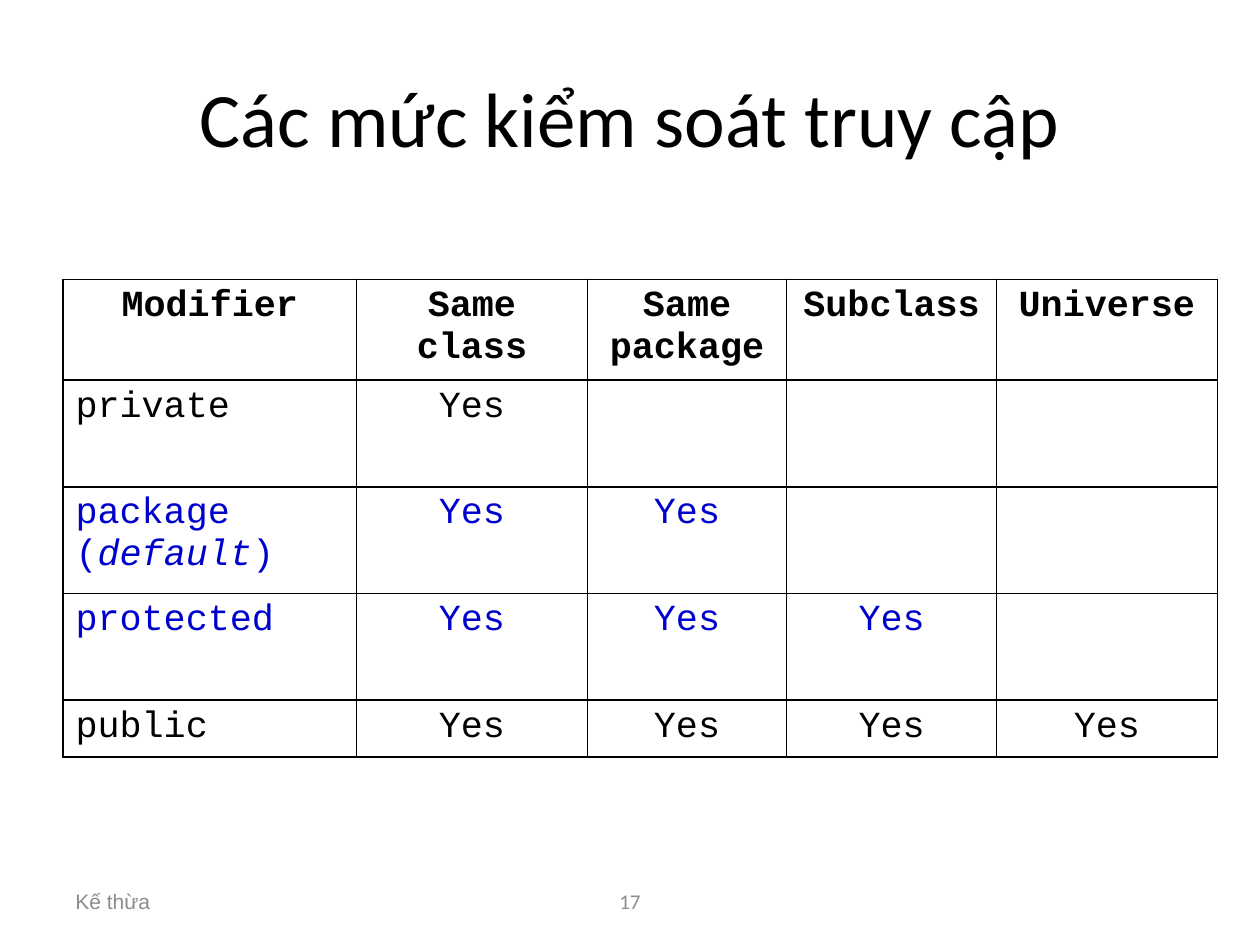
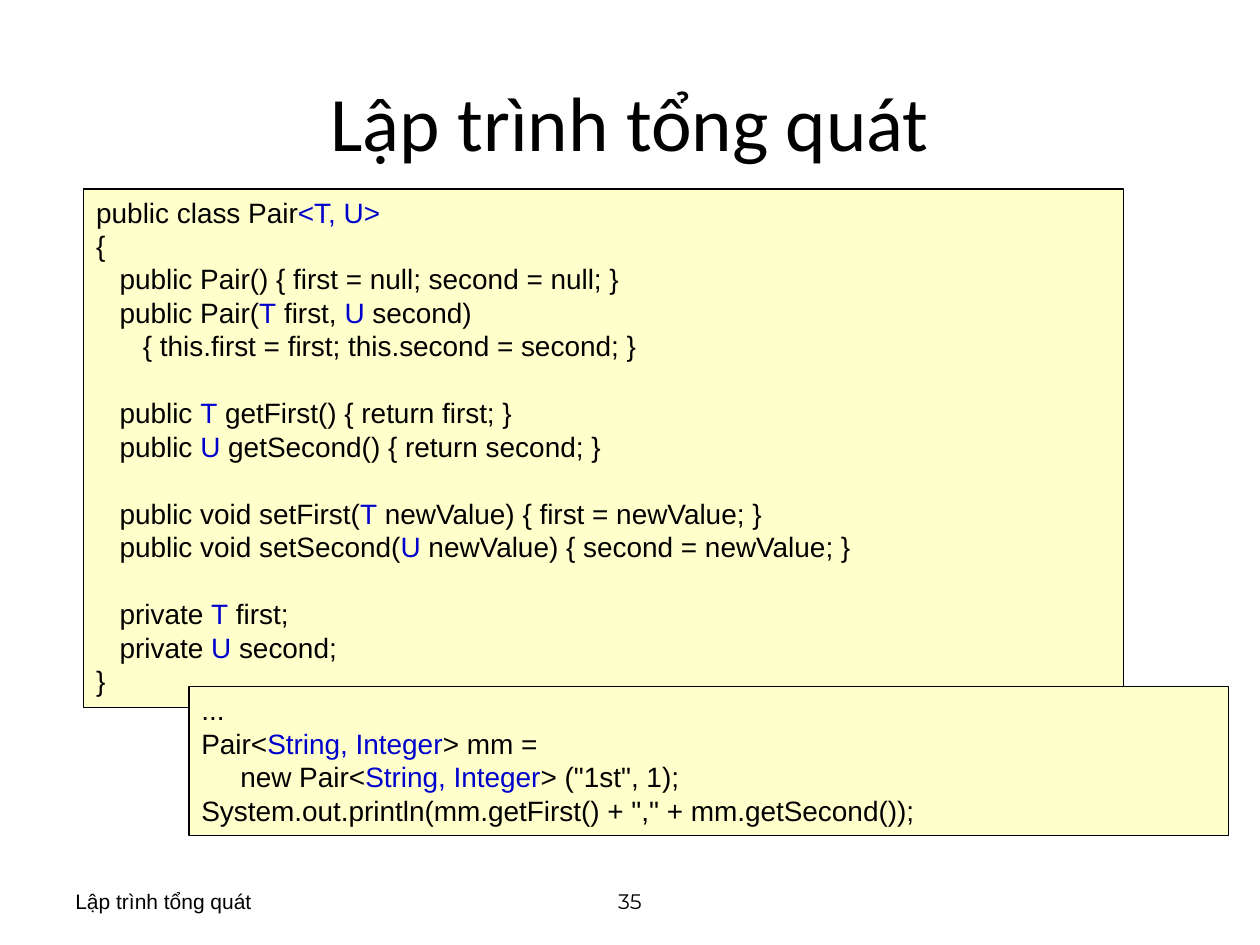
from dataclasses import dataclass

from lxml.etree import SubElement
from pptx import Presentation
from pptx.dml.color import RGBColor
from pptx.enum.shapes import MSO_SHAPE
from pptx.enum.text import MSO_ANCHOR, PP_ALIGN
from pptx.oxml import parse_xml
from pptx.oxml.ns import nsdecls, qn
from pptx.slide import Slide
from pptx.table import _Cell
from pptx.text.text import TextFrame, _Paragraph
from pptx.util import Cm, Pt

BLACK = RGBColor(0x00, 0x00, 0x00)
GREY = RGBColor(0x8C, 0x8C, 0x8C)
BLUE = RGBColor(0x00, 0x00, 0xCC)
CREAM = RGBColor(0xFF, 0xFF, 0xCC)

BODY, HEADING, MONO = "Arial", "Calibri", "Courier New"
MARGIN = 1.27
FOOTER_TOP, FOOTER_HEIGHT = 17.65, 1.02
CODE_SIZE, CODE_LEADING = 16, 19.15
SPACE = 0.157  # width of one space of the code text, in cm


@dataclass(frozen=True)
class Box:
    """A place on the slide, in centimetres."""
    left: float
    top: float
    width: float
    height: float

    def lengths(self) -> tuple[Cm, Cm, Cm, Cm]:
        """Give left, top, width and height as lengths."""
        return Cm(self.left), Cm(self.top), Cm(self.width), Cm(self.height)


@dataclass(frozen=True)
class CodeLine:
    """A line of code; bars in the text enclose its blue parts."""
    text: str
    indent: int = 0
    gap: bool = False


@dataclass(frozen=True)
class Level:
    """An access level: its name, how many scopes see it, its colour."""
    name: str
    scopes: int
    height: float
    color: RGBColor = BLACK


SCOPES = ["Same class", "Same package", "Subclass", "Universe"]
COLUMN_WIDTHS = [5.92, 4.65, 4.02, 4.23, 4.45]
HEADER_HEIGHT, LEVEL_HEIGHT, LAST_HEIGHT = 1.95, 2.15, 1.09
LEVELS = [
    Level("private", 1, LEVEL_HEIGHT),
    Level("package (|default|)", 2, LEVEL_HEIGHT, BLUE),
    Level("protected", 3, LEVEL_HEIGHT, BLUE),
    Level("public", 4, LAST_HEIGHT),
]

PAIR_CLASS = [
    CodeLine("public class Pair|<T, U>|"),
    CodeLine("{"),
    CodeLine("public Pair() { first = null; second = null; }", 3),
    CodeLine("public Pair(|T| first, |U| second)", 3),
    CodeLine("{ this.first = first; this.second = second; }", 6),
    CodeLine("public |T| getFirst() { return first; }", 3, gap=True),
    CodeLine("public |U| getSecond() { return second; }", 3),
    CodeLine("public void setFirst(|T| newValue) { first = newValue; }", 3, gap=True),
    CodeLine("public void setSecond(|U| newValue) { second = newValue; }", 3),
    CodeLine("private |T| first;", 3, gap=True),
    CodeLine("private |U| second;", 3),
    CodeLine("}"),
]
PAIR_USE = [
    CodeLine("..."),
    CodeLine("Pair<|String, Integer|> mm ="),
    CodeLine('new Pair<|String, Integer|> ("1st", 1);', 5),
    CodeLine('System.out.println(mm.getFirst() + "," + mm.getSecond());'),
]


def write(p: _Paragraph, text: str, *, size: float, font: str = BODY,
          color: RGBColor = BLACK, bold: bool = False,
          align: PP_ALIGN = PP_ALIGN.LEFT, accent: RGBColor | None = None,
          accent_italic: bool = False) -> None:
    """Fill a paragraph; parts between bars take the accent format."""
    p.alignment = align
    for i, part in enumerate(text.split("|")):
        if not part:
            continue
        marked = i % 2 == 1
        r = p.add_run()
        r.text = part
        r.font.name = font
        r.font.size = Pt(size)
        r.font.bold = bold
        r.font.italic = marked and accent_italic
        r.font.color.rgb = accent if marked and accent else color


def add_label(s: Slide, box: Box, text: str, **style) -> None:
    """Add a text box with one vertically centred line."""
    tf: TextFrame = s.shapes.add_textbox(*box.lengths()).text_frame
    tf.word_wrap = True
    tf.vertical_anchor = MSO_ANCHOR.MIDDLE
    write(tf.paragraphs[0], text, **style)


def add_frame(s: Slide, title: str, title_top: float, title_height: float,
              footer: str, number: str, color: RGBColor, number_font: str) -> None:
    """Add the title, footer and slide number."""
    add_label(s, Box(MARGIN, title_top, 22.86, title_height), title,
              size=44, font=HEADING, align=PP_ALIGN.CENTER)
    add_label(s, Box(MARGIN, FOOTER_TOP, 5.92, FOOTER_HEIGHT), footer,
              size=12, color=color)
    add_label(s, Box(8.68, FOOTER_TOP, 8.04, FOOTER_HEIGHT), number,
              size=12, font=number_font, color=color, align=PP_ALIGN.CENTER)


def outline_cell(cell: _Cell) -> None:
    """Clear the cell fill and draw a thin black line on each side."""
    cell.fill.background()
    tc_pr = cell._tc.get_or_add_tcPr()
    for i, side in enumerate(("lnL", "lnR", "lnT", "lnB")):
        line = parse_xml(f'<a:{side} {nsdecls("a")} w="{Pt(1)}"/>')
        fill = SubElement(line, qn("a:solidFill"))
        SubElement(fill, qn("a:srgbClr"), val=str(BLACK))
        tc_pr.insert(i, line)


def add_access_table(s: Slide) -> None:
    """Add the table of access levels against scopes."""
    heights = [HEADER_HEIGHT] + [level.height for level in LEVELS]
    box = Box(MARGIN, 5.63, sum(COLUMN_WIDTHS), sum(heights))
    table = s.shapes.add_table(len(heights), len(COLUMN_WIDTHS), *box.lengths()).table
    table.first_row = table.horz_banding = False
    for column, width in zip(table.columns, COLUMN_WIDTHS):
        column.width = Cm(width)
    for row, height in zip(table.rows, heights):
        row.height = Cm(height)
    for cell in table.iter_cells():
        outline_cell(cell)

    rows = [(["Modifier"] + SCOPES, BLACK)]
    rows += [([level.name] + ["Yes"] * level.scopes, level.color) for level in LEVELS]
    for i, (texts, color) in enumerate(rows):
        for j, text in enumerate(texts):
            centred = i == 0 or j > 0
            write(table.cell(i, j).text_frame.paragraphs[0], text, size=21,
                  font=MONO, color=color, bold=i == 0, accent_italic=True,
                  align=PP_ALIGN.CENTER if centred else PP_ALIGN.LEFT)


def add_code(s: Slide, box: Box, lines: list[CodeLine]) -> None:
    """Add a cream panel holding lines of code."""
    sp = s.shapes.add_shape(MSO_SHAPE.RECTANGLE, *box.lengths())
    sp.shadow.inherit = False
    sp.fill.solid()
    sp.fill.fore_color.rgb = CREAM
    sp.line.color.rgb = BLACK
    sp.line.width = Pt(0.75)
    tf = sp.text_frame
    tf.word_wrap = True
    tf.vertical_anchor = MSO_ANCHOR.TOP
    for i, line in enumerate(lines):
        p = tf.add_paragraph() if i else tf.paragraphs[0]
        p.line_spacing = Pt(CODE_LEADING)
        p.space_before = Pt(CODE_LEADING if line.gap else 0)
        p._p.get_or_add_pPr().set("marL", str(Cm(line.indent * SPACE)))
        write(p, line.text, size=CODE_SIZE, accent=BLUE)


def build_access_slide(prs: Presentation) -> None:
    """Build the slide on access levels."""
    s = prs.slides.add_slide(prs.slide_layouts[6])
    add_frame(s, "Các mức kiểm soát truy cập", 0.76, 3.18,
              "Kế thừa", "17", GREY, HEADING)
    add_access_table(s)


def build_generics_slide(prs: Presentation) -> None:
    """Build the slide on generic programming."""
    s = prs.slides.add_slide(prs.slide_layouts[6])
    topic = "Lập trình tổng quát"
    add_frame(s, topic, 1.27, 2.34, topic, "35", BLACK, "Montserrat")
    add_code(s, Box(1.69, 3.81, 20.96, 10.46), PAIR_CLASS)
    add_code(s, Box(3.81, 13.84, 20.96, 3), PAIR_USE)


prs = Presentation()
prs.slide_width, prs.slide_height = Cm(25.4), Cm(19.05)
build_access_slide(prs)
build_generics_slide(prs)
prs.save("out.pptx")
